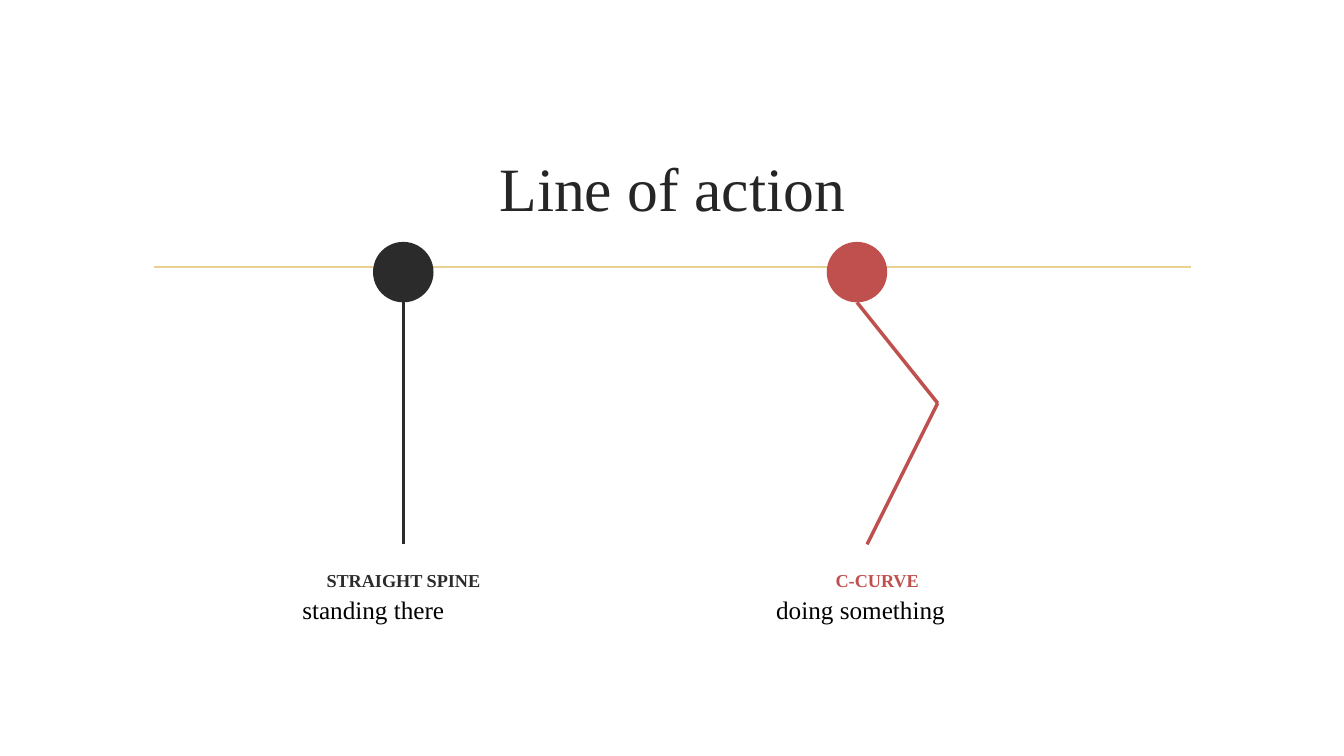
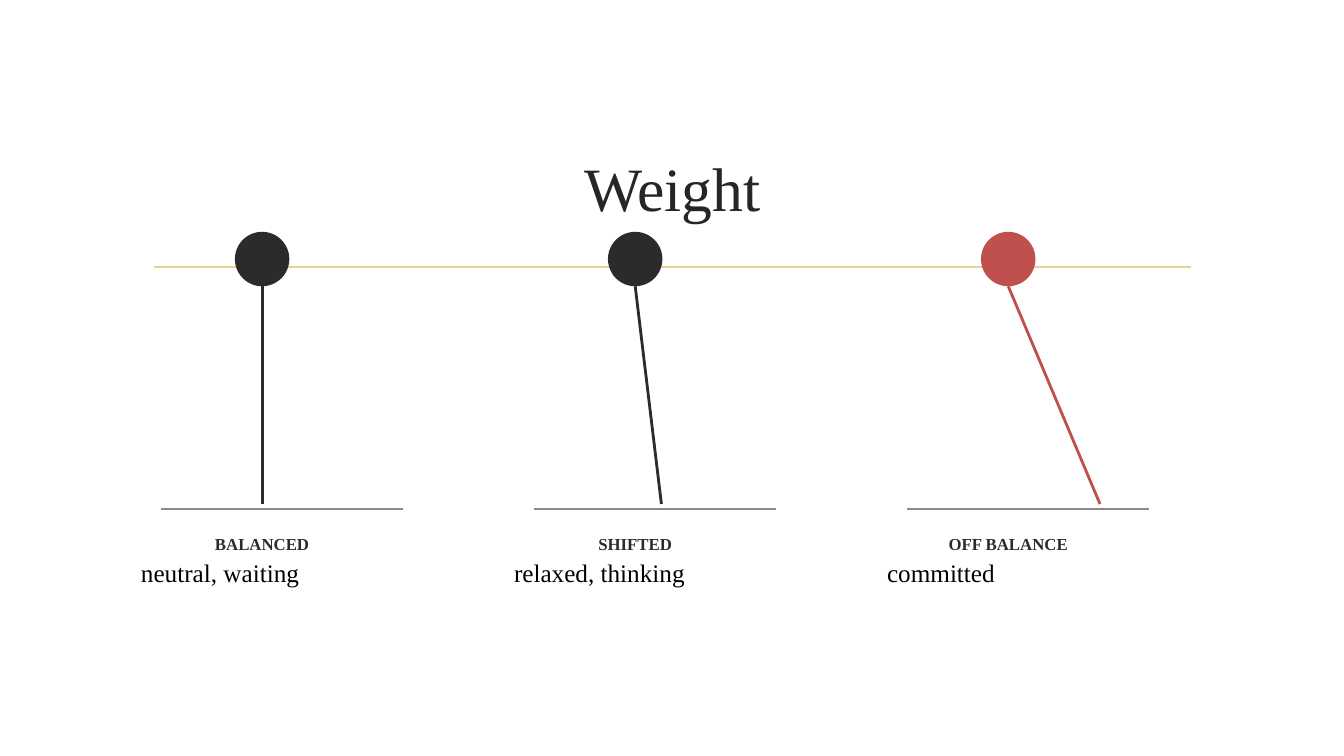
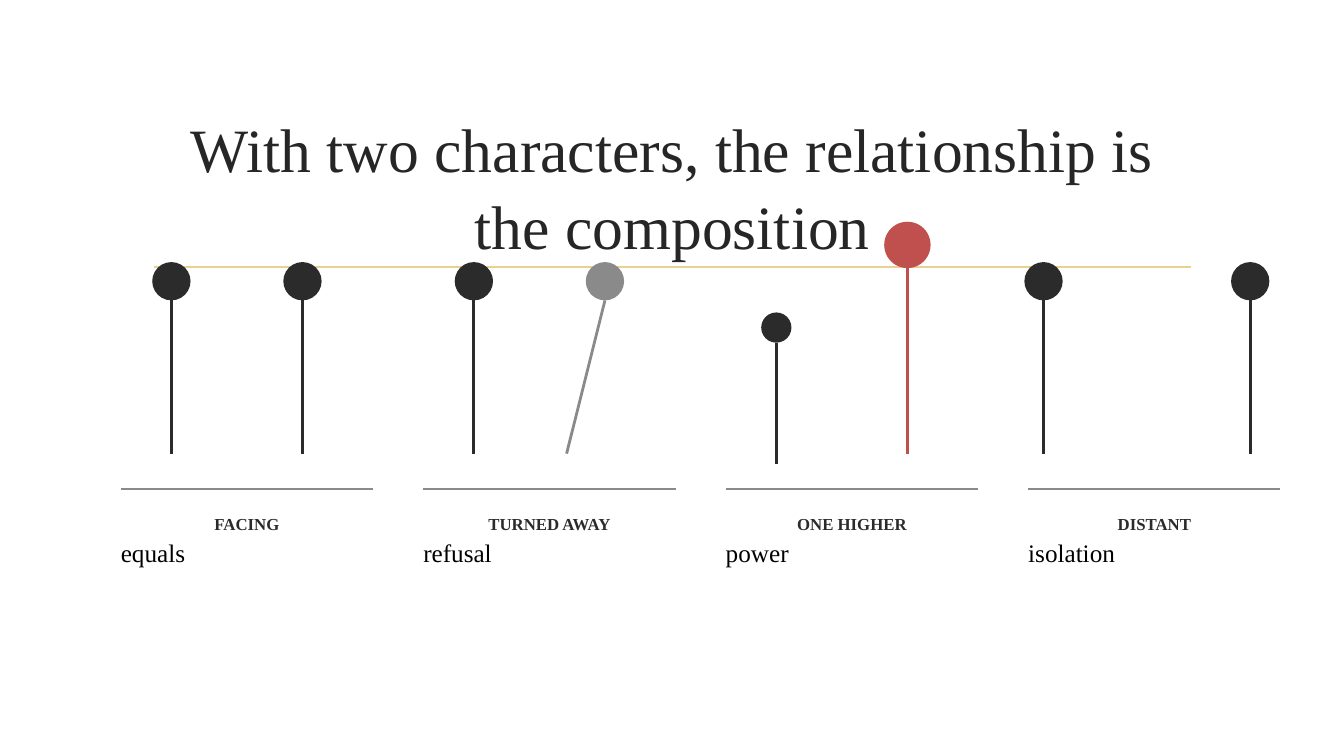
from itertools import pairwise

from pptx import Presentation
from pptx.dml.color import RGBColor
from pptx.enum.shapes import MSO_CONNECTOR, MSO_SHAPE
from pptx.enum.text import MSO_ANCHOR, MSO_AUTO_SIZE, PP_ALIGN
from pptx.oxml.ns import qn
from pptx.util import Emu, Pt
from lxml.etree import SubElement

# Shared look: 100 px to the inch
SCALE = 9144
FONT = "Times New Roman"
INK, RED, GREY = "2B2B2B", "C0504D", "8A8A8A"
TITLE_INK, GOLD, BLACK = "262626", "E8D191", "000000"


def px(length):
    return Emu(length * SCALE)


def colour(hex_code):
    return RGBColor.from_string(hex_code)


def line(slide, start, end, hex_code, width):
    stroke = slide.shapes.add_connector(
        MSO_CONNECTOR.STRAIGHT, *map(px, (*start, *end)))
    stroke.line.color.rgb = colour(hex_code)
    stroke.line.width = Pt(width)
    SubElement(stroke._element.spPr, qn("a:effectLst"))


def text_frame(slide, left, top, width, height, **settings):
    frame = slide.shapes.add_textbox(
        *map(px, (left, top, width, height))).text_frame
    for name, value in {"word_wrap": True, **settings}.items():
        setattr(frame, name, value)
    return frame


def write(paragraph, words, size, hex_code, bold=False, **settings):
    for name, value in settings.items():
        setattr(paragraph, name, value)
    run = paragraph.add_run()
    run.text = words
    for name, value in {"name": FONT, "size": Pt(size), "bold": bold}.items():
        setattr(run.font, name, value)
    run.font.color.rgb = colour(hex_code)


def titled_slide(deck, title):
    """Blank slide with the gold rule and the centred title."""
    slide = deck.slides.add_slide(deck.slide_layouts[6])
    line(slide, (153, 265), (1181, 265), GOLD, 1.25)
    frame = text_frame(slide, 142, 107, 1050, 143, margin_top=px(15),
                       vertical_anchor=MSO_ANCHOR.MIDDLE)
    write(frame.paragraphs[0], title, 44, TITLE_INK,
          alignment=PP_ALIGN.CENTER, line_spacing=1.04)
    return slide


def figure(slide, x, top, size, joints, hex_code=INK, width=2):
    """Round head centred on x, with a spine through joints (lean, y)."""
    head = slide.shapes.add_shape(
        MSO_SHAPE.OVAL, *map(px, (x - size // 2, top, size, size)))
    head.shadow.inherit = False
    head.fill.solid()
    head.fill.fore_color.rgb = colour(hex_code)
    head.line.fill.background()
    spine = [(x, top + size)] + [(x + lean, y) for lean, y in joints]
    for start, end in pairwise(spine):
        line(slide, start, end, hex_code, width)


def ground(slide, left, y, width):
    line(slide, (left, y), (left + width, y), GREY, 1)


def caption(slide, left, top, width, heading, meaning, size=12, hex_code=INK):
    frame = text_frame(slide, left, top, width, 40,
                       auto_size=MSO_AUTO_SIZE.SHAPE_TO_FIT_TEXT)
    write(frame.paragraphs[0], heading, size, hex_code, bold=True,
          alignment=PP_ALIGN.CENTER)
    write(frame.add_paragraph(), meaning, 18, BLACK, space_before=Pt(2))


def line_of_action(deck):
    slide = titled_slide(deck, "Line of action")
    poses = [
        (400, [(0, 540)], INK, 2, 290, "STRAIGHT SPINE", "standing there"),
        (850, [(80, 400), (10, 540)], RED, 2.5, 760, "C-CURVE",
         "doing something"),
    ]
    for x, joints, hex_code, width, left, heading, meaning in poses:
        figure(slide, x, 240, 60, joints, hex_code, width)
        caption(slide, left, 560, 220, heading, meaning, 13, hex_code)


def weight(deck):
    slide = titled_slide(deck, "Weight")
    stances = [
        (0, INK, "BALANCED", "neutral, waiting"),
        (26, INK, "SHIFTED", "relaxed, thinking"),
        (91, RED, "OFF BALANCE", "committed"),
    ]
    for column, (lean, hex_code, heading, meaning) in enumerate(stances):
        x = 260 + 370 * column
        figure(slide, x, 230, 54, [(lean, 500)], hex_code)
        ground(slide, x - 100, 505, 240)
        caption(slide, x - 130, 525, 260, heading, meaning)


def two_characters(deck):
    slide = titled_slide(
        deck, "With two characters, the relationship is the composition")
    # Each character: offset, head top, head size, lean, foot, colour
    pairs = [
        ("FACING", "equals",
         [(50, 260, 38, 0, 450, INK), (180, 260, 38, 0, 450, INK)]),
        ("TURNED AWAY", "refusal",
         [(50, 260, 38, 0, 450, INK), (180, 260, 38, -38, 450, GREY)]),
        ("ONE HIGHER", "power",
         [(50, 310, 30, 0, 460, INK), (180, 220, 46, 0, 450, RED)]),
        ("DISTANT", "isolation",
         [(15, 260, 38, 0, 450, INK), (220, 260, 38, 0, 450, INK)]),
    ]
    for column, (heading, meaning, characters) in enumerate(pairs):
        left = 120 + 300 * column
        for offset, top, size, lean, foot, hex_code in characters:
            figure(slide, left + offset, top, size, [(lean, foot)], hex_code)
        ground(slide, left, 485, 250)
        caption(slide, left - 10, 505, 270, heading, meaning)


def main():
    deck = Presentation()
    deck.slide_width, deck.slide_height = px(1333), px(750)
    line_of_action(deck)
    weight(deck)
    two_characters(deck)
    deck.save("out.pptx")


if __name__ == "__main__":
    main()
